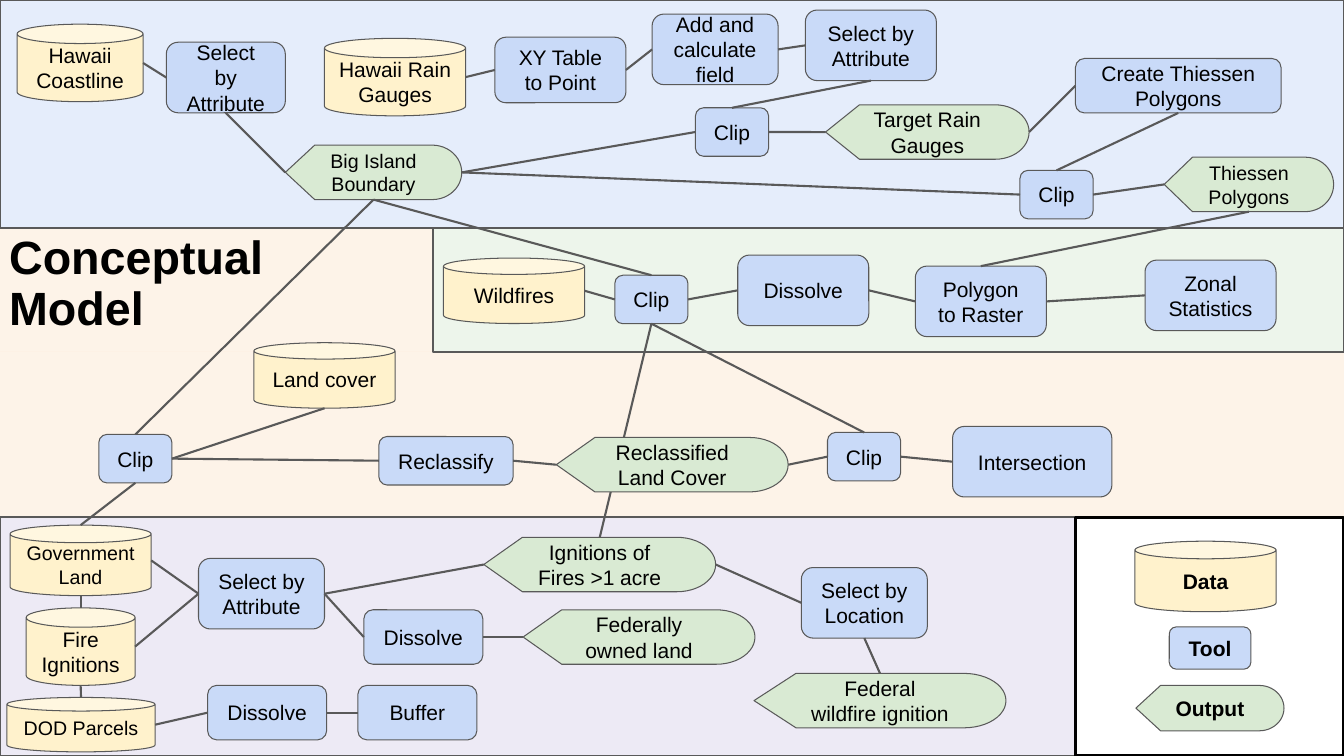
from lxml import etree
from pptx import Presentation
from pptx.dml.color import RGBColor
from pptx.enum.shapes import MSO_CONNECTOR, MSO_SHAPE as Preset
from pptx.enum.text import MSO_ANCHOR as Anchor, PP_ALIGN as Align
from pptx.oxml.ns import qn
from pptx.util import Pt

COLORS = {
    "data": "FFF2CC", "tool": "C9DAF8", "output": "D9EAD3",
    "peach": "FCE5CD", "purple": "D9D2E9", "line": "595959", "black": "000000",
}
PRESETS = {
    "data": Preset.CAN, "tool": Preset.ROUNDED_RECTANGLE,
    "output": Preset.FLOWCHART_DISPLAY,
}

deck = Presentation()
deck.slide_width, deck.slide_height = Pt(960), Pt(540)
page = deck.slides.add_slide(deck.slide_layouts[6])
shapes = page.shapes


def color(name):
    return RGBColor.from_string(COLORS[name])


def add_box(preset, frame, fill, line, weight):
    box = shapes.add_shape(preset, *[Pt(length) for length in frame])
    box.shadow.inherit = False
    if fill:
        box.fill.solid()
        box.fill.fore_color.rgb = color(fill)
    else:
        box.fill.background()
    if line:
        box.line.color.rgb = color(line)
        box.line.width = Pt(weight)
    else:
        box.line.fill.background()
    return box


# Background panels: fill, opacity in percent, line, weight, frame
PANELS = [
    ("peach", 46, None, 0, (0, 251.3, 960, 118.8)),
    ("peach", 46, None, 0, (0, 162.7, 309.6, 88.6)),
    ("purple", 45, "line", 1.5, (0, 369.5, 768, 170.5)),
    ("tool", 47, "line", 1.5, (0, 0, 960, 162.7)),
    ("output", 45, "line", 1.5, (309.6, 162.7, 650.4, 88.6)),
    (None, 100, "black", 2.25, (768, 369.5, 192, 170.5)),
]
for fill, opacity, line, weight, frame in PANELS:
    panel = add_box(Preset.RECTANGLE, frame, fill, line, weight)
    if fill:
        tint = panel.element.spPr.find(qn("a:solidFill"))[0]
        etree.SubElement(tint, qn("a:alpha"), val=str(opacity * 1000))

# Workflow steps and legend: key, kind, text, left, top, width, height
STEPS = [
    # Rain gauges and Thiessen polygons
    ("coastline", "data", "Hawaii Coastline", 12.2, 17.3, 90, 55.4),
    ("coast select", "tool", "Select by Attribute", 118.8, 30.2, 85, 50.4),
    ("boundary", "output", "Big Island Boundary", 203.8, 103.7, 126, 38.9),
    ("gauges", "data", "Hawaii Rain Gauges", 231.8, 27.4, 100.8, 55.4),
    ("xy table", "tool", "XY Table to Point", 353.5, 26.6, 93.6, 46.8),
    ("field", "tool", "Add and calculate field", 465.8, 10.1, 90, 50.4),
    ("gauge select", "tool", "Select by Attribute", 575.3, 7.2, 93.6, 50.4),
    ("gauge clip", "tool", "Clip", 496.8, 77, 52.2, 34.6),
    ("target", "output", "Target Rain Gauges", 589.7, 74.9, 145.4, 38.9),
    ("create", "tool", "Create Thiessen Polygons", 768.2, 41.8, 146.9, 38.9),
    ("thiessen clip", "tool", "Clip", 728.6, 121.7, 52.2, 34.6),
    ("thiessen", "output", "Thiessen Polygons", 831.6, 112.3, 121, 38.9),
    # Wildfires
    ("wildfires", "data", "Wildfires", 316.8, 184.3, 100.8, 46.8),
    ("fire clip", "tool", "Clip", 439.2, 196.6, 52.2, 34.6),
    ("fire dissolve", "tool", "Dissolve", 527, 182.2, 93.6, 50.4),
    ("raster", "tool", "Polygon to Raster", 653.8, 190.1, 93.6, 50.4),
    ("zonal", "tool", "Zonal Statistics", 817.9, 185.8, 93.6, 50.4),
    # Land cover
    ("land cover", "data", "Land cover", 181.4, 244.8, 100.8, 46.8),
    ("land clip", "tool", "Clip", 70.6, 310.3, 52.2, 34.6),
    ("reclassify", "tool", "Reclassify", 270.7, 311.8, 95.8, 34.6),
    ("reclassified", "output", "Reclassified Land Cover", 397.4, 312.5, 165.6, 38.9),
    ("cover clip", "tool", "Clip", 591.1, 308.9, 52.2, 34.6),
    ("intersection", "tool", "Intersection", 680.4, 304.6, 113.8, 50.4),
    # Ignitions and federal land
    ("government", "data", "Government Land", 7.2, 375.1, 100.8, 50.4),
    ("ignitions", "data", "Fire Ignitions", 18.7, 434.2, 77.8, 55.4),
    ("parcels", "data", "DOD Parcels", 5, 498.2, 105.8, 38.9),
    ("land select", "tool", "Select by Attribute", 141.8, 398.9, 90, 50.4),
    ("land dissolve", "tool", "Dissolve", 259.9, 435.6, 85, 38.9),
    ("parcel dissolve", "tool", "Dissolve", 148.3, 489.6, 85, 38.9),
    ("buffer", "tool", "Buffer", 255.6, 489.6, 85, 38.9),
    ("large fires", "output", "Ignitions of Fires >1 acre", 345.6, 383.8, 165.6, 38.9),
    ("federal land", "output", "Federally owned land", 373.7, 435.6, 165.6, 38.9),
    ("location", "tool", "Select by Location", 572.4, 405.4, 90, 50.4),
    ("federal fires", "output", "Federal wildfire ignition", 538.6, 481, 180, 38.9),
    # Legend
    ("legend data", "data", "Data", 810.7, 386.6, 100.8, 50.4),
    ("legend tool", "tool", "Tool", 835.2, 447.8, 58.3, 30.2),
    ("legend output", "output", "Output", 811.4, 489.6, 105.8, 32.4),
]
SMALL_TEXT = {"boundary", "thiessen", "government", "parcels"}
steps = {}
for key, kind, text, *frame in STEPS:
    step = steps[key] = add_box(PRESETS[kind], frame, kind, "line", 0.75)
    words = step.text_frame
    words.word_wrap = True
    words.vertical_anchor = Anchor.MIDDLE
    words.margin_left = words.margin_right = Pt(9.6)
    words.margin_top = words.margin_bottom = Pt(9.6)
    para = words.paragraphs[0]
    para.text = text
    para.alignment = Align.CENTER
    para.font.name = "Arial"
    para.font.size = Pt(14 if key in SMALL_TEXT else 15)
    para.font.bold = key.startswith("legend")
    para.font.color.rgb = color("black")

# Links: step and side at each end
SIDES = ["top", "left", "bottom", "right"]
LINKS = [
    ("coastline", "right", "coast select", "left"),
    ("coast select", "bottom", "boundary", "left"),
    ("boundary", "right", "gauge clip", "left"),
    ("boundary", "right", "thiessen clip", "left"),
    ("boundary", "bottom", "land clip", "top"),
    ("boundary", "bottom", "fire clip", "top"),
    ("gauges", "right", "xy table", "left"),
    ("xy table", "right", "field", "left"),
    ("field", "right", "gauge select", "left"),
    ("gauge select", "bottom", "gauge clip", "top"),
    ("gauge clip", "right", "target", "left"),
    ("target", "right", "create", "left"),
    ("create", "bottom", "thiessen clip", "top"),
    ("thiessen clip", "right", "thiessen", "left"),
    ("thiessen", "bottom", "raster", "top"),
    ("wildfires", "right", "fire clip", "left"),
    ("fire clip", "right", "fire dissolve", "left"),
    ("fire dissolve", "right", "raster", "left"),
    ("raster", "right", "zonal", "left"),
    ("fire clip", "bottom", "cover clip", "top"),
    ("fire clip", "bottom", "large fires", "top"),
    ("land cover", "bottom", "land clip", "right"),
    ("land clip", "right", "reclassify", "left"),
    ("reclassify", "right", "reclassified", "left"),
    ("reclassified", "right", "cover clip", "left"),
    ("cover clip", "right", "intersection", "left"),
    ("land clip", "bottom", "government", "top"),
    ("government", "bottom", "ignitions", "top"),
    ("ignitions", "bottom", "parcels", "top"),
    ("government", "right", "land select", "left"),
    ("ignitions", "right", "land select", "left"),
    ("land select", "right", "large fires", "left"),
    ("land select", "right", "land dissolve", "left"),
    ("land dissolve", "right", "federal land", "left"),
    ("parcels", "right", "parcel dissolve", "left"),
    ("parcel dissolve", "right", "buffer", "left"),
    ("large fires", "right", "location", "left"),
    ("location", "bottom", "federal fires", "top"),
]
for start, start_side, end, end_side in LINKS:
    link = shapes.add_connector(MSO_CONNECTOR.STRAIGHT, 0, 0, 0, 0)
    link.begin_connect(steps[start], SIDES.index(start_side))
    link.end_connect(steps[end], SIDES.index(end_side))
    link.line.color.rgb = color("line")
    link.line.width = Pt(1.5)
    etree.SubElement(link.element.spPr, qn("a:effectLst"))
    # A can has one extra site, on its lid, ahead of the four sides
    for key, tag in ((start, "a:stCxn"), (end, "a:endCxn")):
        if steps[key].auto_shape_type == Preset.CAN:
            site = next(link.element.iter(qn(tag)))
            site.set("idx", str(int(site.get("idx")) + 1))

# The link from the wildfire clip runs behind this step
shapes.element.append(steps["reclassified"].element)

# Title
title = shapes.add_textbox(Pt(0), Pt(169.2), Pt(201), Pt(68.4))
words = title.text_frame
words.word_wrap = True
words.vertical_anchor = Anchor.MIDDLE
words.margin_left = words.margin_right = Pt(6.5)
para = words.paragraphs[0]
para.text = "Conceptual Model"
para.line_spacing = 0.9
para.font.name = "Arial"
para.font.size = Pt(33.3)
para.font.bold = True
para.font.color.rgb = color("black")

deck.save("out.pptx")
